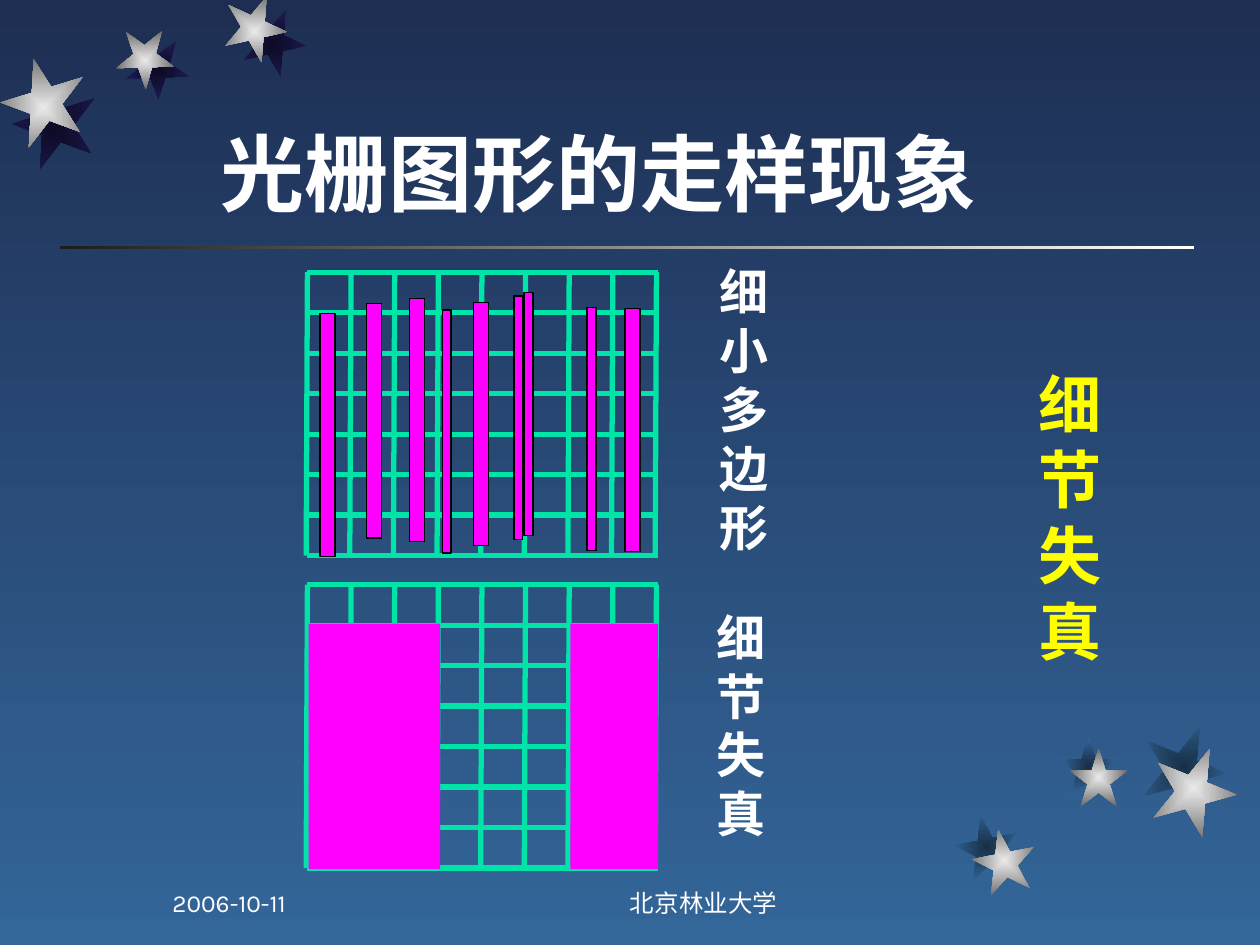
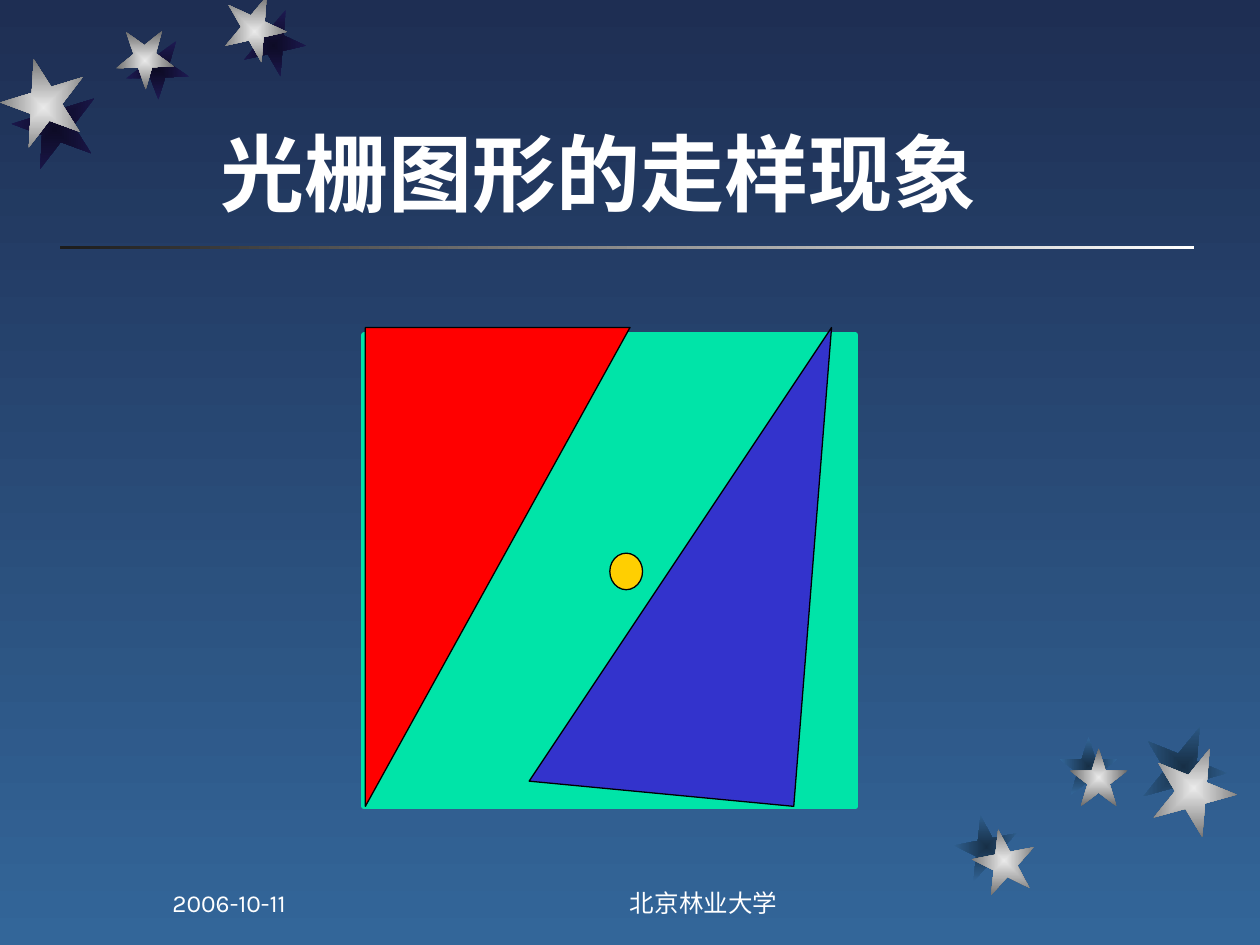
import pptx
import pptx.util
import pptx.dml.color
import pptx.enum.shapes
import pptx.enum.text
import lxml.etree
import pptx.oxml.ns

RGB = pptx.dml.color.RGBColor
SHAPES = pptx.enum.shapes.MSO_SHAPE
ANCHOR = pptx.enum.text.MSO_ANCHOR
ALIGN = pptx.enum.text.PP_ALIGN
qn = pptx.oxml.ns.qn

SLIDE_WIDTH = pptx.util.Inches(10)
SLIDE_HEIGHT = pptx.util.Inches(7.5)
COLUMNS, ROWS = 100, 75
COLUMN = SLIDE_WIDTH // COLUMNS
ROW = SLIDE_HEIGHT // ROWS

WHITE = RGB(0xFF, 0xFF, 0xFF)
BLACK = RGB(0x00, 0x00, 0x00)
YELLOW = RGB(0xFF, 0xFF, 0x00)
GOLD = RGB(0xFF, 0xCF, 0x01)
RED = RGB(0xFF, 0x00, 0x00)
BLUE = RGB(0x33, 0x33, 0xCC)
MINT = RGB(0x00, 0xE4, 0xA8)
MAGENTA = RGB(0xFF, 0x00, 0xFF)
CHARCOAL = RGB(0x1C, 0x1C, 0x1C)
NIGHT = RGB(0x1E, 0x2E, 0x53)
SKY = RGB(0x33, 0x66, 0x99)
STAR_FACE = (RGB(0xEA, 0xEA, 0xEA), RGB(0x6B, 0x6B, 0x6B))
UPPER_SHADE = (RGB(0x0D, 0x0B, 0x26), RGB(0x1E, 0x1A, 0x53))
LOWER_SHADE = (RGB(0x17, 0x2F, 0x46), SKY)

DISPLAY_FONT = "Karla"
LABEL_FONT = "Times New Roman"
TITLE = "光栅图形的走样现象"

STAR_GROUPS = [
    (UPPER_SHADE, [(19.2, 1.1, 5, 5, 167.3), (10, 3.3, 5, 4.6, 178.3), (1, 6.9, 6.7, 6.7, 200.3)]),
    (STAR_FACE, [(17.7, 0, 5, 5, 167.3), (9.2, 2.5, 4.6, 4.6, 178.3), (0.1, 5.2, 6.7, 6.7, 200.3)]),
    (LOWER_SHADE, [(75.8, 64.7, 5, 5, 349), (84.1, 58.5, 4.6, 4.6, 0), (90.6, 57.5, 6.7, 6.7, 22)]),
    (STAR_FACE, [(77.2, 65.8, 5, 5, 349), (84.9, 59.4, 4.6, 4.6, 0), (91.4, 59.2, 6.7, 6.7, 22)]),
]

GRID_ACROSS, GRID_DOWN = 8, 7
GRID_WIDTH, GRID_HEIGHT = 27.7, 22.5
CELL_WIDTH = GRID_WIDTH / GRID_ACROSS
CELL_HEIGHT = GRID_HEIGHT / GRID_DOWN
GRID_LEFT = 24.4
POLYGON_GRID_TOP, PIXEL_GRID_TOP = 21.6, 46.4
FILLED_COLUMNS = (0, 1, 2, 6, 7)

THIN_POLYGONS = [
    (25.4, 24.9, 1.2, 19.3), (29.1, 24.1, 1.2, 18.6), (32.5, 23.7, 1.2, 19.3),
    (37.6, 24, 1.2, 19.3), (40.8, 23.5, 0.7, 19.3), (49.6, 24.5, 1.2, 19.3),
    (35.1, 24.6, 0.7, 19.3), (41.6, 23.2, 0.7, 19.3), (46.6, 24.4, 0.7, 19.3),
]


def frame(left, top, width, height):
    return [round(left * COLUMN), round(top * ROW), round(width * COLUMN), round(height * ROW)]


def set_gradient(fill, start, end, angle):
    fill.gradient()
    fill.gradient_angle = angle
    for stop, color in zip(fill.gradient_stops, (start, end)):
        stop.color.rgb = color


def center_gradient(shape):
    linear = shape._element.spPr.find(".//" + qn("a:lin"))
    gradient = linear.getparent()
    gradient.remove(linear)
    burst = lxml.etree.SubElement(gradient, qn("a:path"), {"path": "rect"})
    lxml.etree.SubElement(burst, qn("a:fillToRect"), {side: "50000" for side in "ltrb"})


def style(shape, fill, outline=None, weight=0.75):
    shape.shadow.inherit = False
    if fill:
        shape.fill.solid()
        shape.fill.fore_color.rgb = fill
    if outline is None:
        shape.line.fill.background()
    else:
        shape.line.color.rgb = outline
        shape.line.width = pptx.util.Pt(weight)


def add_figure(slide, kind, area, fill=None, outline=None, weight=0.75):
    figure = slide.shapes.add_shape(kind, *frame(*area))
    style(figure, fill, outline, weight)
    return figure


def add_triangle(slide, corners, fill):
    outline = slide.shapes.build_freeform(*corners[0], scale=(COLUMN, ROW))
    outline.add_line_segments(corners[1:], close=True)
    style(outline.convert_to_shape(), fill, BLACK)


def add_text(slide, words, area, size, font, color=WHITE, bold=False,
             anchor=ANCHOR.TOP, align=ALIGN.LEFT):
    box = slide.shapes.add_textbox(*frame(*area)).text_frame
    box.word_wrap = True
    box.vertical_anchor = anchor
    paragraph = box.paragraphs[0]
    paragraph.text = words
    paragraph.alignment = align
    paragraph.font.size = pptx.util.Pt(size)
    paragraph.font.name = font
    paragraph.font.bold = bold
    paragraph.font.color.rgb = color


def add_grid_line(group, start, end):
    line = group.shapes.add_connector(
        pptx.enum.shapes.MSO_CONNECTOR.STRAIGHT,
        *frame(*start, *end))
    line.line.color.rgb = MINT
    line.line.width = pptx.util.Pt(3)
    lxml.etree.SubElement(line._element.spPr, qn("a:effectLst"))


def add_raster_grid(slide, top):
    group = slide.shapes.add_group_shape()
    bottom = top + GRID_HEIGHT
    for column in range(GRID_ACROSS + 1):
        x = GRID_LEFT + column * CELL_WIDTH
        add_grid_line(group, (x, top), (x - 0.1, bottom))
    for row in range(GRID_DOWN + 1):
        y = top + row * CELL_HEIGHT
        add_grid_line(group, (GRID_LEFT, y), (GRID_LEFT + GRID_WIDTH + 0.1, y))


def add_filled_pixels(slide):
    for row in range(1, GRID_DOWN):
        for column in FILLED_COLUMNS:
            area = (GRID_LEFT + 0.1 + column * CELL_WIDTH,
                    PIXEL_GRID_TOP - 0.1 + row * CELL_HEIGHT, 3.5, 3.4)
            add_figure(slide, SHAPES.RECTANGLE, area, MAGENTA)


def add_star(slide, area, rotation, colors):
    star = add_figure(slide, SHAPES.STAR_5_POINT, area)
    set_gradient(star.fill, *colors, 0)
    center_gradient(star)
    star.rotation = rotation


def add_themed_slide(deck):
    slide = deck.slides.add_slide(deck.slide_layouts[6])
    set_gradient(slide.background.fill, NIGHT, SKY, 270)
    title_rule = add_figure(slide, SHAPES.RECTANGLE, (4.8, 19.5, 90, 0.3))
    set_gradient(title_rule.fill, WHITE, CHARCOAL, 180)
    for colors, stars in STAR_GROUPS:
        for *area, rotation in stars:
            add_star(slide, area, rotation, colors)
    add_text(slide, TITLE, (16.5, 6.3, 66.8, 11.8), 48, DISPLAY_FONT,
             bold=True, anchor=ANCHOR.BOTTOM)
    add_text(slide, "北京林业大学", (40, 68.3, 31.7, 5), 14, DISPLAY_FONT,
             anchor=ANCHOR.BOTTOM, align=ALIGN.CENTER)
    add_text(slide, "2006-10-11", (12.7, 68.3, 20.8, 5), 14, DISPLAY_FONT,
             anchor=ANCHOR.BOTTOM)
    return slide


def build_detail_loss(deck):
    slide = add_themed_slide(deck)
    add_text(slide, "细节失真", (81.4, 28.5, 7.5, 27.7), 36, LABEL_FONT, YELLOW, bold=True)
    add_raster_grid(slide, POLYGON_GRID_TOP)
    add_raster_grid(slide, PIXEL_GRID_TOP)
    for area in THIN_POLYGONS:
        add_figure(slide, SHAPES.RECTANGLE, area, MAGENTA, BLACK)
    add_text(slide, "细小多边形", (56.1, 20.3, 6.3, 25.3), 28, LABEL_FONT, bold=True)
    add_text(slide, "细节失真", (55.9, 47.7, 6.3, 20.7), 28, LABEL_FONT, bold=True)
    add_filled_pixels(slide)


def build_small_object(deck):
    slide = add_themed_slide(deck)
    add_figure(slide, SHAPES.RECTANGLE, (28.9, 26.6, 39, 37.4), MINT, MINT, 3)
    add_triangle(slide, [(50, 26.3), (28.9, 63.7), (28.7, 26.3)], RED)
    add_triangle(slide, [(41.5, 62.1), (65.5, 26.5), (62.8, 63.8)], BLUE)
    add_figure(slide, SHAPES.OVAL, (48.4, 43.9, 2.6, 2.9), GOLD, BLACK)


def main():
    deck = pptx.Presentation()
    deck.slide_width = SLIDE_WIDTH
    deck.slide_height = SLIDE_HEIGHT
    build_detail_loss(deck)
    build_small_object(deck)
    deck.save("out.pptx")


if __name__ == "__main__":
    main()
